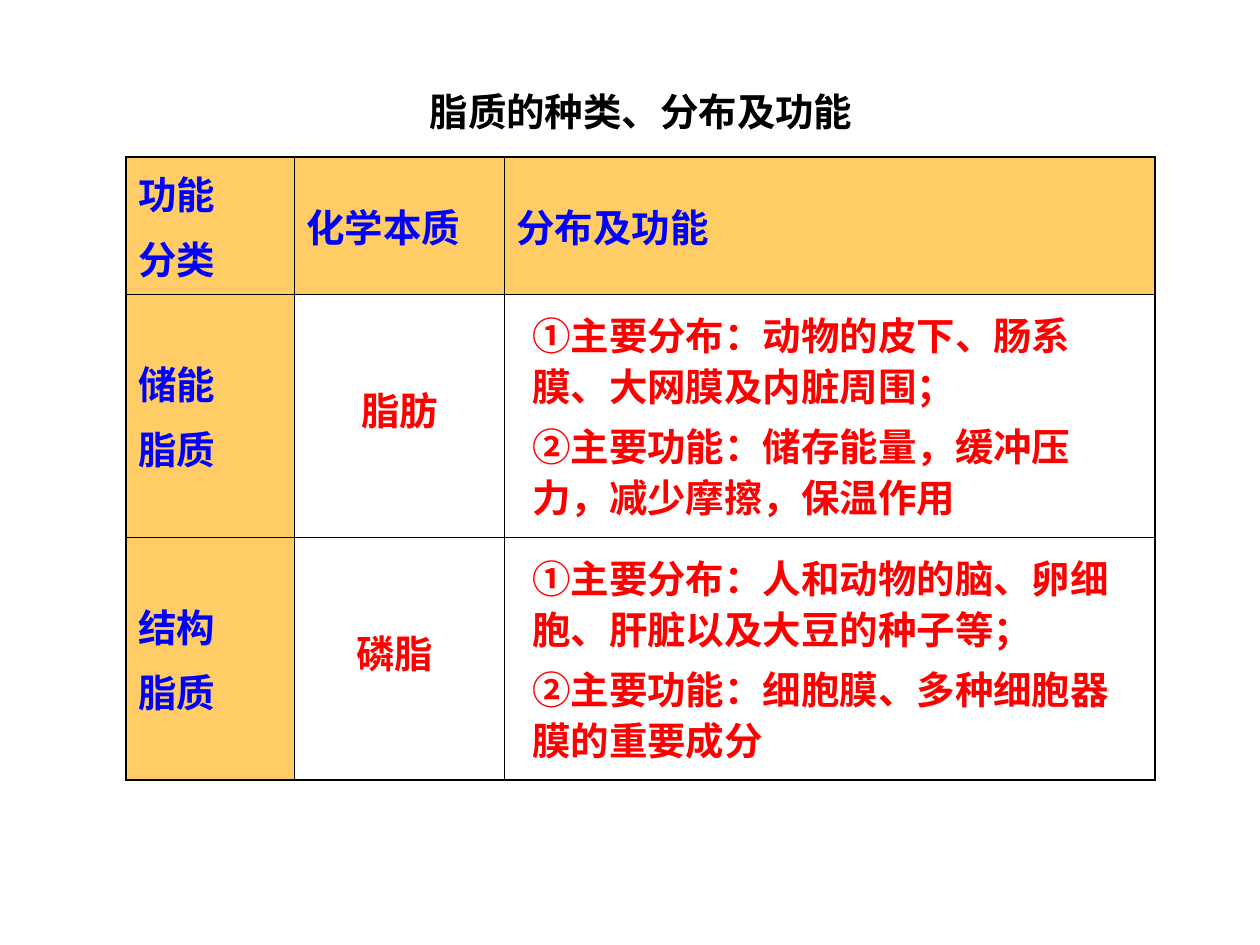
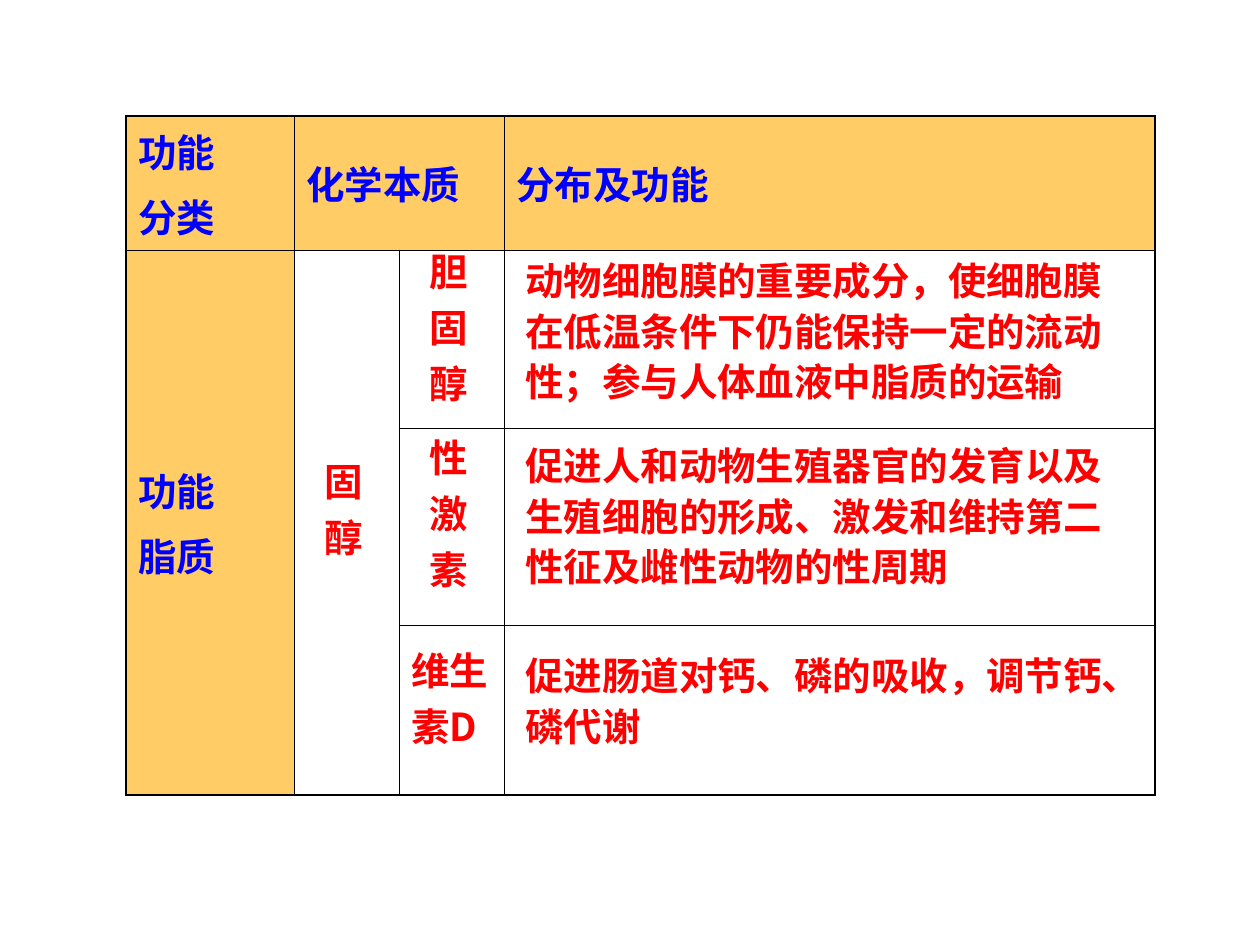
"""Build two slides of tables on lipid kinds, distribution and functions."""
import lxml.etree
import pptx
import pptx.dml.color
import pptx.enum.text
import pptx.oxml.ns
import pptx.util

PX = pptx.util.Inches(1) // 126
BLACK = pptx.dml.color.RGBColor(0x00, 0x00, 0x00)
BLUE = pptx.dml.color.RGBColor(0x00, 0x00, 0xFF)
RED = pptx.dml.color.RGBColor(0xFF, 0x00, 0x00)
AMBER = pptx.dml.color.RGBColor(0xFF, 0xCC, 0x66)
FONT = "Noto Sans CJK SC"
TEXT_SIZE = pptx.util.Pt(22)
PARAGRAPH_GAP = pptx.util.Pt(5.5)
OUTER_LINE = pptx.util.Pt(1.08)
INNER_LINE = pptx.util.Pt(0.45)
LOOSE = 1.1
CENTER = pptx.enum.text.PP_ALIGN.CENTER
JUSTIFY = pptx.enum.text.PP_ALIGN.JUSTIFY
TABLE_LEFT = 126
HEADINGS = "功能\n分类", "化学本质", "分布及功能"


def add_xml(parent, tag, **attributes):
    return lxml.etree.SubElement(parent, pptx.oxml.ns.qn(tag), attributes)


def write_text(frame, wording, color, spacing=None, align=None):
    frame.text = wording
    for index, paragraph in enumerate(frame.paragraphs):
        if index:
            paragraph.space_before = PARAGRAPH_GAP
        if spacing:
            paragraph.line_spacing = spacing
        paragraph.alignment = align
        paragraph._p.get_or_add_pPr().set("hangingPunct", "0")
        for run in paragraph.runs:
            run.font.size = TEXT_SIZE
            run.font.bold = True
            run.font.color.rgb = color
            run.font.name = FONT
            add_xml(run.font._element, "a:ea", typeface=FONT)


def add_label(slide, box, wording, color=RED, spacing=None, align=None):
    label = slide.shapes.add_textbox(*(length * PX for length in box))
    frame = label.text_frame
    frame.word_wrap = True
    frame.auto_size = pptx.enum.text.MSO_AUTO_SIZE.SHAPE_TO_FIT_TEXT
    write_text(frame, wording, color, spacing, align)


def draw_borders(cell, outer_sides):
    properties = cell._tc.get_or_add_tcPr()
    for side in "LRTB":
        width = OUTER_LINE if side in outer_sides else INNER_LINE
        border = add_xml(properties, f"a:ln{side}", w=str(int(width)))
        paint = add_xml(border, "a:solidFill")
        add_xml(paint, "a:srgbClr", val=str(BLACK))


def add_lipid_table(slide, top, columns, rows, wording, merges=()):
    frame = slide.shapes.add_table(
        len(rows), len(columns), TABLE_LEFT * PX, top * PX,
        sum(columns) * PX, sum(rows) * PX)
    table = frame.table
    table.first_row = False
    table.horz_banding = False
    for column, width in zip(table.columns, columns):
        column.width = width * PX
    for row, height in zip(table.rows, rows):
        row.height = height * PX
    for start, end in merges:
        table.cell(*start).merge(table.cell(*end))
    for r in range(len(rows)):
        for c in range(len(columns)):
            cell = table.cell(r, c)
            last_row = r + (cell.span_height if cell.is_merge_origin else 1)
            edges = {"L": c == 0, "R": c == len(columns) - 1,
                     "T": r == 0, "B": last_row == len(rows)}
            draw_borders(cell, [side for side in edges if edges[side]])
            if r == 0 or c == 0:
                cell.fill.solid()
                cell.fill.fore_color.rgb = AMBER
            else:
                cell.fill.background()
            cell.vertical_anchor = pptx.enum.text.MSO_ANCHOR.MIDDLE
            if (r, c) in wording:
                write_text(cell.text_frame, wording[r, c], BLUE)


def build_storage_and_structure(slide):
    add_label(slide, (284, 82, 714, 59), "脂质的种类、分布及功能", BLACK, align=CENTER)
    wording = {(0, c): heading for c, heading in enumerate(HEADINGS)}
    wording.update({(1, 0): "储能\n脂质", (2, 0): "结构\n脂质"})
    add_lipid_table(slide, 157, (168, 210, 651), (137, 243, 243), wording)
    lipids = (
        ("脂肪", 189, "①主要分布：动物的皮下、肠系膜、大网膜及内脏周围；\n"
                    "②主要功能：储存能量，缓冲压力，减少摩擦，保温作用"),
        ("磷脂", 179, "①主要分布：人和动物的脑、卵细胞、肝脏以及大豆的种子等；\n"
                    "②主要功能：细胞膜、多种细胞器膜的重要成分"),
    )
    for index, (lipid, width, details) in enumerate(lipids):
        offset = index * 243
        add_label(slide, (305, 381 + offset, width, 59), lipid, align=CENTER)
        add_label(slide, (520, 301 + offset, 620, 226), details, spacing=LOOSE)


def build_functional(slide):
    wording = dict(zip(((0, 0), (0, 1), (0, 3)), HEADINGS))
    wording[1, 0] = "功能\n脂质"
    merges = ((0, 1), (0, 2)), ((1, 0), (3, 0)), ((1, 1), (3, 1))
    add_lipid_table(slide, 116, (168, 105, 105, 651), (134, 178, 197, 170),
                    wording, merges)
    add_label(slide, (312, 452, 63, 115), "固\n醇")
    add_label(slide, (417, 242, 63, 171), "胆\n固\n醇")
    add_label(slide, (417, 428, 66, 171), "性\n激\n素")
    add_label(slide, (399, 641, 116, 115), "维生\n素D", align=JUSTIFY)
    details = (
        (246, 630, 165, "动物细胞膜的重要成分，使细胞膜在低温条件下仍能保持一定的流动性；"
                        "参与人体血液中脂质的运输"),
        (431, 635, 165, "促进人和动物生殖器官的发育以及生殖细胞的形成、"
                        "激发和维持第二性征及雌性动物的性周期"),
        (641, 643, 115, "促进肠道对钙、磷的吸收，调节钙、磷代谢"),
    )
    for top, width, height, role in details:
        add_label(slide, (513, top, width, height), role, spacing=LOOSE)


def main():
    deck = pptx.Presentation()
    deck.slide_width = 1260 * PX
    deck.slide_height = 945 * PX
    for build in (build_storage_and_structure, build_functional):
        build(deck.slides.add_slide(deck.slide_layouts[6]))
    deck.save("out.pptx")


if __name__ == "__main__":
    main()
